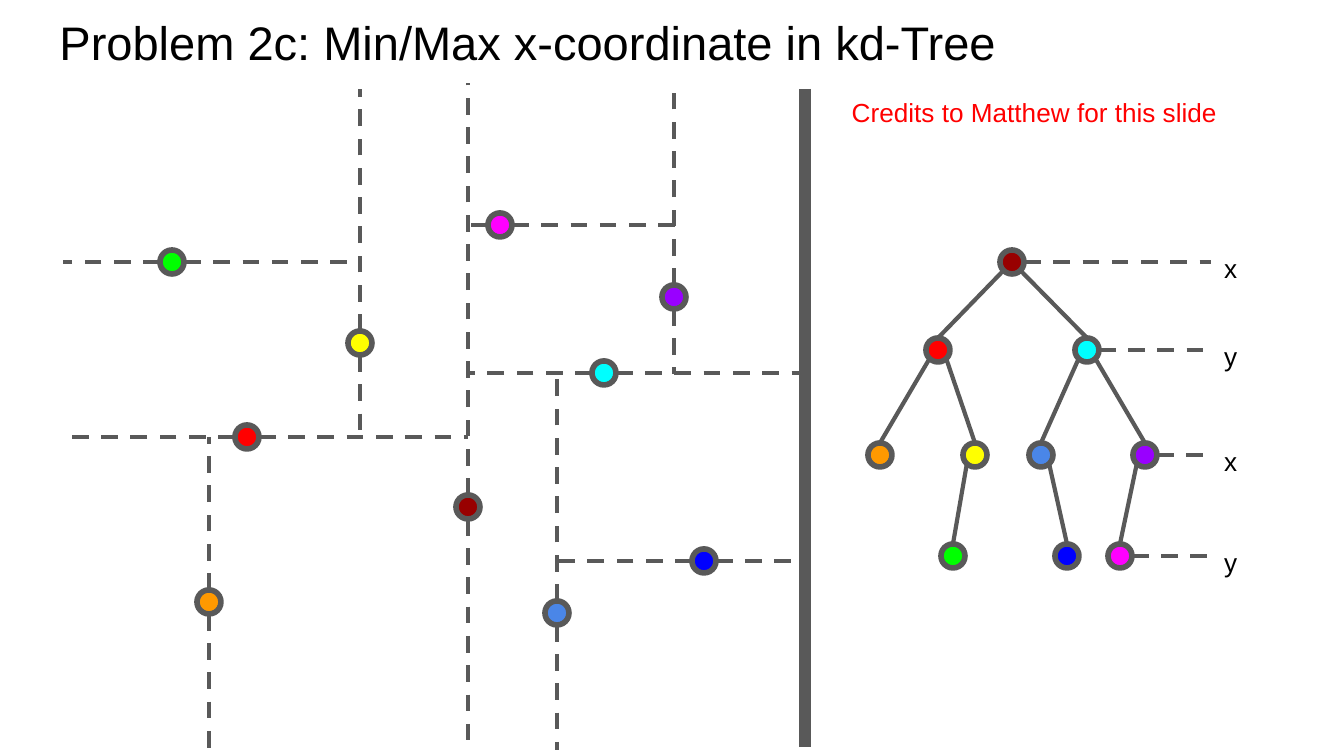
from dataclasses import dataclass

from lxml import etree
from pptx import Presentation
from pptx.dml.color import RGBColor
from pptx.enum.dml import MSO_LINE
from pptx.enum.shapes import MSO_CONNECTOR, MSO_SHAPE
from pptx.enum.text import MSO_ANCHOR, MSO_AUTO_SIZE, PP_ALIGN
from pptx.oxml.ns import qn
from pptx.util import Inches, Pt

STRAIGHT = MSO_CONNECTOR.STRAIGHT
OVAL = MSO_SHAPE.OVAL
DASH = MSO_LINE.DASH
TOP, MIDDLE = MSO_ANCHOR.TOP, MSO_ANCHOR.MIDDLE
LEFT, CENTER = PP_ALIGN.LEFT, PP_ALIGN.CENTER
NO_AUTOFIT = MSO_AUTO_SIZE.NONE
EMU_PER_PX = 914400 / 134.4
RADIUS = 12
EDGE_OFFSET = 8
LABEL_X = 1211


@dataclass(frozen=True)
class Theme:
    font: str = "Arial"
    ink: str = "000000"
    accent: str = "FF0000"
    stroke: str = "595959"
    title_size: float = 25.2
    text_size: float = 14
    node_line: float = 3
    line: float = 2.25
    divider: float = 6


THEME = Theme()

COLORS = {
    "green": "00FF00", "yellow": "FFFF00", "red": "FF0000",
    "maroon": "980000", "cyan": "00FFFF", "blue": "0000FF",
    "purple": "9900FF", "cornflower": "4A86E8", "magenta": "FF00FF",
    "orange": "FF9900",
}

# name: (x, y, split axis, start, end)
SPLITS = {
    "green": (172, 262, "h", 63, 361),
    "yellow": (360, 343, "v", 89, 433),
    "red": (247, 437, "h", 63, 468),
    "maroon": (468, 507, "v", 83, 753),
    "cyan": (604, 373, "h", 466, 806),
    "blue": (704, 561, "h", 555, 808),
    "purple": (674, 297, "v", 90, 374),
    "cornflower": (557, 613, "v", 371, 750),
    "magenta": (500, 225, "h", 468, 675),
    "orange": (209, 602, "v", 437, 751),
}

LEVELS = [
    ("x", 262, {"maroon": 1012}),
    ("y", 350, {"red": 938, "cyan": 1087}),
    ("x", 455, {"orange": 880, "yellow": 975, "cornflower": 1041, "purple": 1145}),
    ("y", 556, {"green": 953, "blue": 1067, "magenta": 1120}),
]

EDGES = [
    ("maroon", "red"), ("maroon", "cyan"),
    ("red", "orange"), ("red", "yellow"),
    ("cyan", "cornflower"), ("cyan", "purple"),
    ("yellow", "green"), ("cornflower", "blue"), ("purple", "magenta"),
]


def px(n):
    return round(n * EMU_PER_PX)


def add_line(s, start, end, width=THEME.line, dashed=False):
    c = s.shapes.add_connector(STRAIGHT, *map(px, (*start, *end)))
    c.line.color.rgb = RGBColor.from_string(THEME.stroke)
    c.line.width = Pt(width)
    if dashed:
        c.line.dash_style = DASH
    etree.SubElement(c._element.spPr, qn("a:effectLst"))


def add_node(s, x, y, color):
    sp = s.shapes.add_shape(OVAL, px(x - RADIUS), px(y - RADIUS), px(2 * RADIUS), px(2 * RADIUS))
    sp.shadow.inherit = False
    sp.fill.solid()
    sp.fill.fore_color.rgb = RGBColor.from_string(color)
    sp.line.color.rgb = RGBColor.from_string(THEME.stroke)
    sp.line.width = Pt(THEME.node_line)


def set_text(sp, text, size, color, align=LEFT, anchor=TOP):
    tf = sp.text_frame
    tf.text = text
    tf.word_wrap = True
    tf.auto_size = NO_AUTOFIT
    tf.vertical_anchor = anchor
    tf.margin_left = tf.margin_right = tf.margin_top = tf.margin_bottom = Inches(0.1)
    p = tf.paragraphs[0]
    p.alignment = align
    font = p.runs[0].font
    font.name = THEME.font
    font.size = Pt(size)
    font.color.rgb = RGBColor.from_string(color)


def add_label(s, box, text, color=THEME.ink, align=LEFT):
    sp = s.shapes.add_textbox(*map(px, box))
    set_text(sp, text, THEME.text_size, color, align)


def add_title(s, text):
    sp = s.shapes.title
    sp.left, sp.top, sp.width, sp.height = map(px, (46, -1, 1253, 85))
    set_text(sp, text, THEME.title_size, THEME.ink, anchor=MIDDLE)


def add_split(s, name):
    x, y, axis, start, end = SPLITS[name]
    for side, stop in ((-RADIUS, start), (RADIUS, end)):
        if axis == "h":
            add_line(s, (x + side, y), (stop, y), dashed=True)
        else:
            add_line(s, (x, y + side), (x, stop), dashed=True)
    add_node(s, x, y, COLORS[name])


def add_tree(s):
    nodes = {name: (x, y) for _, y, row in LEVELS for name, x in row.items()}
    for parent, child in EDGES:
        (x1, y1), (x2, y2) = nodes[parent], nodes[child]
        side = EDGE_OFFSET if x2 > x1 else -EDGE_OFFSET
        add_line(s, (x1 + side, y1 + EDGE_OFFSET), (x2, y2 - RADIUS))
    for axis, y, row in LEVELS:
        add_line(s, (max(row.values()) + RADIUS, y), (LABEL_X, y), dashed=True)
        add_label(s, (LABEL_X, y - 23, 38, 47), axis)
    for name, (x, y) in nodes.items():
        add_node(s, x, y, COLORS[name])


def main():
    prs = Presentation()
    prs.slide_width, prs.slide_height = px(1344), px(756)
    s = prs.slides.add_slide(prs.slide_layouts[5])
    add_title(s, "Problem 2c: Min/Max x-coordinate in kd-Tree")
    for name in SPLITS:
        add_split(s, name)
    add_line(s, (805, 89), (805, 747), THEME.divider)
    add_label(s, (831, 83, 407, 43), "Credits to Matthew for this slide", THEME.accent, CENTER)
    add_tree(s)
    prs.save("out.pptx")


if __name__ == "__main__":
    main()
